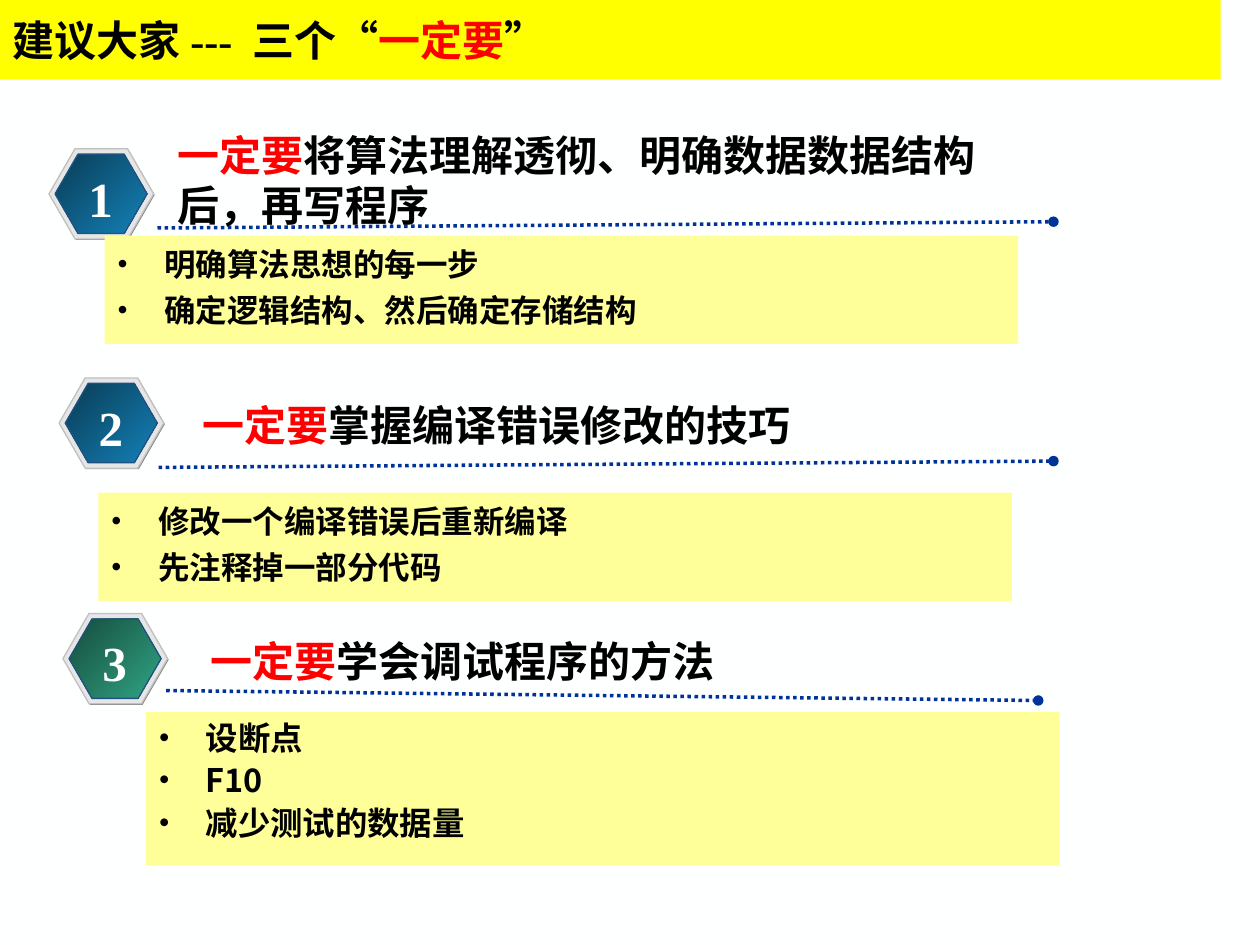
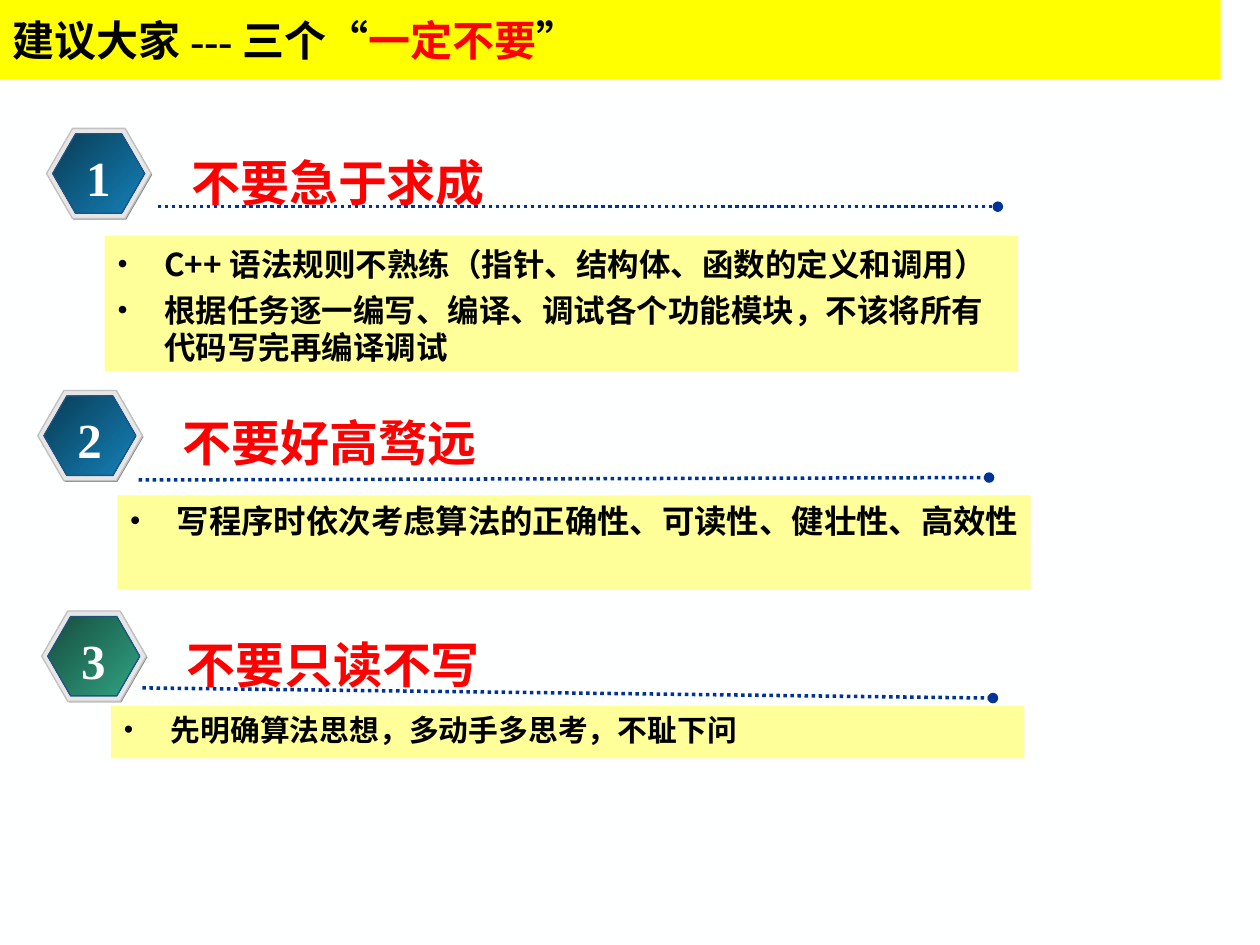
from dataclasses import dataclass
from lxml.etree import SubElement
from pptx import Presentation
from pptx.dml.color import RGBColor
from pptx.enum.dml import MSO_LINE
from pptx.enum.shapes import MSO_CONNECTOR, MSO_SHAPE
from pptx.enum.text import MSO_ANCHOR, PP_ALIGN
from pptx.oxml.ns import qn
from pptx.util import Pt


@dataclass(frozen=True)
class Theme:
    background: str = "FEFFFF"
    band: str = "FFFF00"
    panel: str = "FFFF99"
    text: str = "000000"
    accent: str = "FF0000"
    number: str = "FFFFFF"
    rule: str = "003399"
    badge_shadow: str = "808080"
    badge_rim: str = "E6E6E6"
    badge_rim_line: str = "C0C0C0"
    badge_line: str = "1F5281"
    blue: tuple = ("093C55", "1481B8")
    green: tuple = ("164C3D", "30A483")
    latin: str = "Times New Roman"
    chinese: str = "Noto Sans CJK SC"
    title_size: float = 24
    number_size: float = 28
    line_height: float = 1.19
    first_line_drop: float = 0.12


theme = Theme()


def add_filled_shape(slide, kind, left, top, width, height, fill, line=None):
    shape = slide.shapes.add_shape(kind, Pt(left), Pt(top), Pt(width), Pt(height))
    shape.shadow.inherit = False
    if isinstance(fill, tuple):
        shape.fill.gradient()
        shape.fill.gradient_angle = 315
        for stop, color in zip(shape.fill.gradient_stops, fill):
            stop.color.rgb = RGBColor.from_string(color)
    else:
        shape.fill.solid()
        shape.fill.fore_color.rgb = RGBColor.from_string(fill)
    if line:
        shape.line.color.rgb = RGBColor.from_string(line)
        shape.line.width = Pt(0.75)
    else:
        shape.line.fill.background()
    if kind == MSO_SHAPE.HEXAGON:
        shape.adjustments[0] = 0.289
    return shape


def write_runs(paragraph, pieces, size, latin=theme.latin):
    paragraph.alignment = PP_ALIGN.LEFT
    for text, color in pieces:
        run = paragraph.add_run()
        run.text = text
        run.font.size = Pt(size)
        run.font.bold = True
        run.font.color.rgb = RGBColor.from_string(color)
        run.font.name = latin
        SubElement(run.font._element, qn("a:ea"), typeface=theme.chinese)


must = ("一定要", theme.accent)
slides = [
    {
        "title": ("建议大家--- 三个“", "一定要", "”"),
        "heading_size": 24,
        "steps": [
            {"badge": (28, 85), "rule": (90, 130.3, 602, 126.7),
             "heading_box": (94.5, 67.5, 487, 65),
             "heading": [must, ("将算法理解透彻、明确数据数据结构后，再写程序", theme.text)],
             "panel": (59.8, 134.6, 62), "size": 18, "spacing": 1, "latin": theme.latin,
             "bullets": ["明确算法思想的每一步", "确定逻辑结构、然后确定存储结构"]},
            {"badge": (33.8, 216), "rule": (90.7, 267.1, 602, 263.5),
             "heading_box": (108.7, 221.8, 510, 41),
             "heading": [must, ("掌握编译错误修改的技巧", theme.text)],
             "panel": (56.2, 281.5, 62), "size": 18, "spacing": 1, "latin": theme.latin,
             "bullets": ["修改一个编译错误后重新编译", "先注释掉一部分代码"]},
            {"badge": (36, 350.6), "rule": (95, 394.6, 593.3, 400.3),
             "heading_box": (113, 357.1, 472, 41),
             "heading": [must, ("学会调试程序的方法", theme.text)],
             "panel": (83.5, 406.8, 87.8), "size": 18.5, "spacing": 0.9, "latin": theme.chinese,
             "bullets": ["设断点", "F10", "减少测试的数据量"]},
        ],
    },
    {
        "title": ("建议大家---三个“", "一定不要", "”"),
        "heading_size": 28,
        "steps": [
            {"badge": (26.6, 73.4), "rule": (90, 118.1, 570.2, 118.1),
             "heading_box": (102.2, 80.6, 312, 41),
             "heading": [("不要急于求成", theme.accent)],
             "panel": (59.8, 134.6, 77.8), "size": 18, "spacing": 1, "latin": theme.chinese,
             "bullets": ["C++语法规则不熟练（指针、结构体、函数的定义和调用）",
                         "根据任务逐一编写、编译、调试各个功能模块，不该将所有代码写完再编译调试"]},
            {"badge": (21.6, 223.2), "rule": (79.2, 274.3, 565.2, 272.9),
             "heading_box": (97.2, 229, 460, 41),
             "heading": [("不要好高骛远", theme.accent)],
             "panel": (67, 283, 54), "size": 18.5, "spacing": 0.9, "latin": theme.chinese,
             "bullets": ["写程序时依次考虑算法的正确性、可读性、健壮性、高效性"]},
            {"badge": (23.8, 349.2), "rule": (81.4, 393.1, 567.4, 398.9),
             "heading_box": (99.4, 355.7, 460, 41),
             "heading": [("不要只读不写", theme.accent)],
             "panel": (63.4, 403.2, 30.2), "size": 17, "spacing": 0.9, "latin": theme.chinese,
             "bullets": ["先明确算法思想，多动手多思考，不耻下问"]},
        ],
    },
]

presentation = Presentation()
presentation.slide_width = Pt(720)
presentation.slide_height = Pt(540)

for content in slides:
    slide = presentation.slides.add_slide(presentation.slide_layouts[6])
    slide.background.fill.solid()
    slide.background.fill.fore_color.rgb = RGBColor.from_string(theme.background)

    band = add_filled_shape(slide, MSO_SHAPE.RECTANGLE, 0, 0, 697.5, 45.4, theme.band)
    band.text_frame.word_wrap = True
    band.text_frame.vertical_anchor = MSO_ANCHOR.MIDDLE
    title_colors = (theme.text, theme.accent, theme.text)
    write_runs(band.text_frame.paragraphs[0], zip(content["title"], title_colors), theme.title_size)

    for number, step in enumerate(content["steps"], start=1):
        left, top = step["badge"]
        gradient = theme.green if number == 3 else theme.blue
        for offset_x, offset_y, width, height, fill, line in (
            (0.6, 0.6, 59.8, 51.6, theme.badge_shadow, None),
            (0, 0, 59.8, 51.6, theme.badge_rim, theme.badge_rim_line),
            (3.5, 3.1, 52.6, 45.4, gradient, theme.badge_line),
        ):
            add_filled_shape(slide, MSO_SHAPE.HEXAGON, left + offset_x, top + offset_y,
                             width, height, fill, line)

        rule = slide.shapes.add_connector(MSO_CONNECTOR.STRAIGHT, *map(Pt, step["rule"]))
        rule.line.color.rgb = RGBColor.from_string(theme.rule)
        rule.line.width = Pt(2)
        rule.line.dash_style = MSO_LINE.ROUND_DOT
        SubElement(rule.line._get_or_add_ln(), qn("a:tailEnd"), type="oval")
        SubElement(rule._element.spPr, qn("a:effectLst"))

        heading_size = content["heading_size"]
        heading = slide.shapes.add_textbox(*map(Pt, step["heading_box"])).text_frame
        heading.word_wrap = True
        heading.margin_top = Pt(3.6 + theme.first_line_drop * heading_size)
        write_runs(heading.paragraphs[0], step["heading"], heading_size)
        heading.paragraphs[0].line_spacing = Pt(theme.line_height * heading_size)

        number_box = slide.shapes.add_textbox(Pt(left + 15.5), Pt(top + 7.5), Pt(28), Pt(41))
        number_paragraph = number_box.text_frame.paragraphs[0]
        write_runs(number_paragraph, [(str(number), theme.number)], theme.number_size)
        number_paragraph.alignment = PP_ALIGN.CENTER

        panel_left, panel_top, panel_height = step["panel"]
        panel = add_filled_shape(slide, MSO_SHAPE.RECTANGLE, panel_left, panel_top,
                                 522, panel_height, theme.panel)
        frame = panel.text_frame
        frame.word_wrap = True
        frame.vertical_anchor = MSO_ANCHOR.TOP
        frame.margin_top = Pt(3.6 + theme.first_line_drop * step["size"])
        for index, bullet in enumerate(step["bullets"]):
            paragraph = frame.add_paragraph() if index else frame.paragraphs[0]
            paragraph.line_spacing = Pt(theme.line_height * step["size"] * step["spacing"])
            if index:
                paragraph.space_before = Pt(4.5)
            properties = paragraph._element.get_or_add_pPr()
            properties.set("marL", str(Pt(27)))
            properties.set("indent", str(Pt(-27)))
            SubElement(properties, qn("a:buFont"), typeface="Times New Roman")
            SubElement(properties, qn("a:buChar"), char="•")
            write_runs(paragraph, [(bullet, theme.text)], step["size"], step["latin"])

presentation.save("out.pptx")
